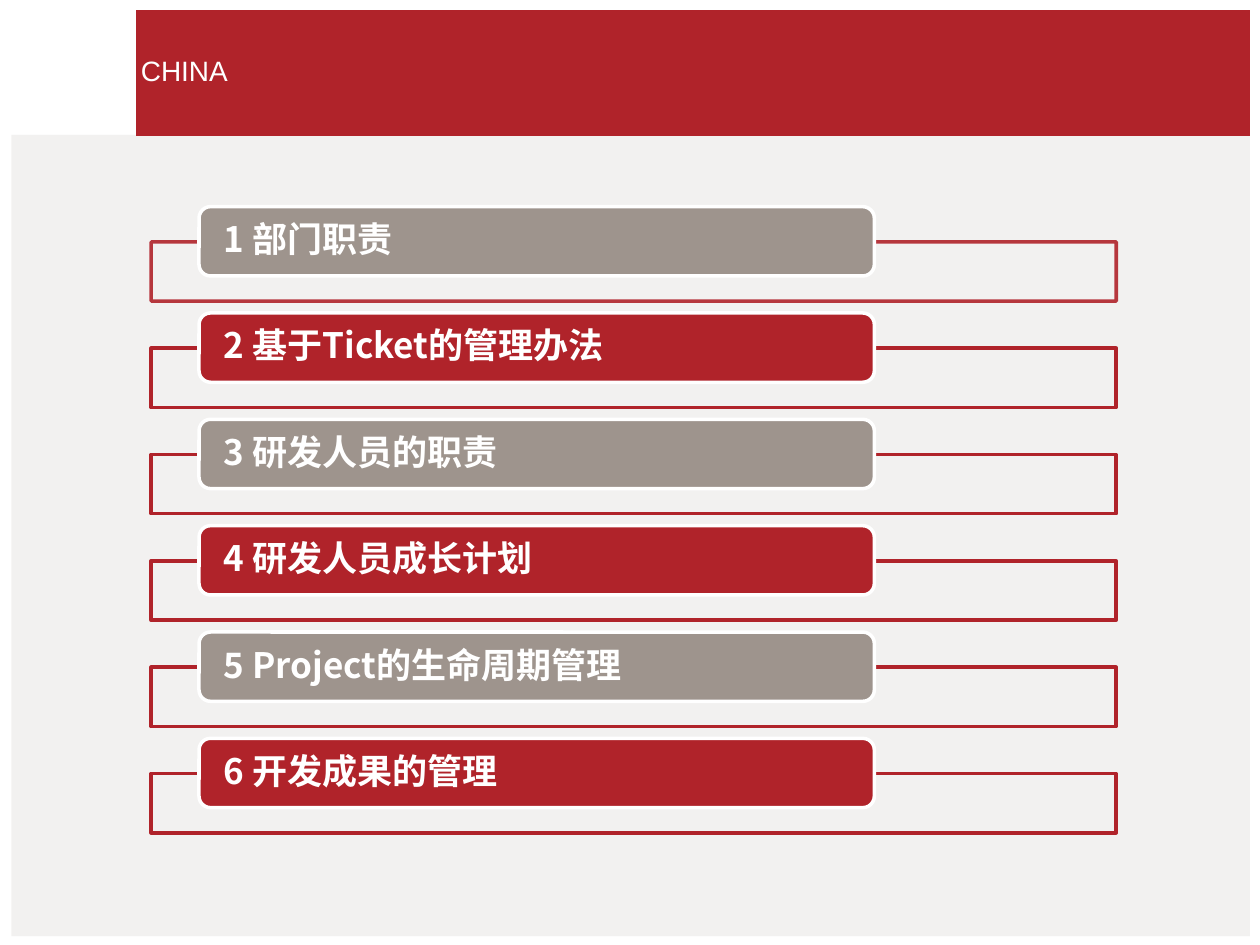
from dataclasses import dataclass

from lxml import etree
from pptx import Presentation
from pptx.dml.color import RGBColor
from pptx.enum import shapes, text
from pptx.oxml import ns
from pptx.util import Inches, Pt

RED = RGBColor(0xB0, 0x23, 0x2A)
TAUPE = RGBColor(0x9E, 0x94, 0x8D)
PALE = RGBColor(0xEF, 0xED, 0xEC)
WHITE = RGBColor(0xFF, 0xFF, 0xFF)
LATIN_FONT = "Arial"
CHINESE_FONT = "Noto Sans CJK SC"
FIRST_TOP = 1.64
ROW_STEP = 0.844
FRAME_DROP = 0.28


@dataclass(frozen=True)
class Topic:
    title: str
    fill: RGBColor
    frame_opacity: int = 100


TOPICS = [
    Topic("1 部门职责", TAUPE, 90),
    Topic("2 基于Ticket的管理办法", RED),
    Topic("3 研发人员的职责", TAUPE),
    Topic("4 研发人员成长计划", RED),
    Topic("5 Project的生命周期管理", TAUPE),
    Topic("6 开发成果的管理", RED),
]


def set_opacity(shape, percent: int) -> None:
    for color in shape.element.spPr.iter(ns.qn("a:srgbClr")):
        alpha = etree.SubElement(color, ns.qn("a:alpha"))
        alpha.set("val", str(percent * 1000))


def add_block(page, kind, left: float, top: float, width: float, height: float,
              fill: RGBColor | None = None, line: RGBColor | None = None):
    block = page.shapes.add_shape(
        kind, Inches(left), Inches(top), Inches(width), Inches(height))
    block.shadow.inherit = False
    if fill is None:
        block.fill.background()
    else:
        block.fill.solid()
        block.fill.fore_color.rgb = fill
    if line is None:
        block.line.fill.background()
    else:
        block.line.color.rgb = line
        block.line.width = Pt(2)
    return block


def format_span(span, font: str, size: int, bold: bool = False) -> None:
    span.font.name = font
    span.font.size = Pt(size)
    span.font.bold = bold
    span.font.color.rgb = WHITE
    east_asian = etree.SubElement(span.font._element, ns.qn("a:ea"))
    east_asian.set("typeface", font)


def add_topic(page, topic: Topic, top: float) -> None:
    frame = add_block(page, shapes.MSO_SHAPE.RECTANGLE,
                      1.2, top + FRAME_DROP, 7.66, 0.47, line=RED)
    if topic.frame_opacity < 100:
        set_opacity(frame, topic.frame_opacity)
    box = add_block(page, shapes.MSO_SHAPE.ROUNDED_RECTANGLE,
                    1.58, top, 5.36, 0.55, topic.fill, WHITE)
    body = box.text_frame
    body.text = topic.title
    body.word_wrap = True
    body.vertical_anchor = text.MSO_ANCHOR.MIDDLE
    body.margin_left = body.margin_right = Inches(0.17)
    body.margin_top = body.margin_bottom = 0
    para = body.paragraphs[0]
    para.alignment = text.PP_ALIGN.LEFT
    para.line_spacing = 0.9
    format_span(para.runs[0], CHINESE_FONT, 20, bold=True)


def add_header(page) -> None:
    backdrop = add_block(page, shapes.MSO_SHAPE.RECTANGLE, 0.09, 1.07, 9.83, 6.36, PALE)
    set_opacity(backdrop, 76)
    add_block(page, shapes.MSO_SHAPE.RECTANGLE, 1.08, 0.08, 8.84, 1, RED)
    label = page.shapes.add_textbox(Inches(1.02), Inches(0.38), Inches(1.01), Inches(0.37))
    label.text_frame.text = "CHINA"
    format_span(label.text_frame.paragraphs[0].runs[0], LATIN_FONT, 16)


def main() -> None:
    deck = Presentation()
    deck.slide_width, deck.slide_height = Inches(10), Inches(7.5)
    page = deck.slides.add_slide(deck.slide_layouts[6])
    add_header(page)
    for index, topic in enumerate(TOPICS):
        add_topic(page, topic, FIRST_TOP + index * ROW_STEP)
    deck.save("out.pptx")


if __name__ == "__main__":
    main()
